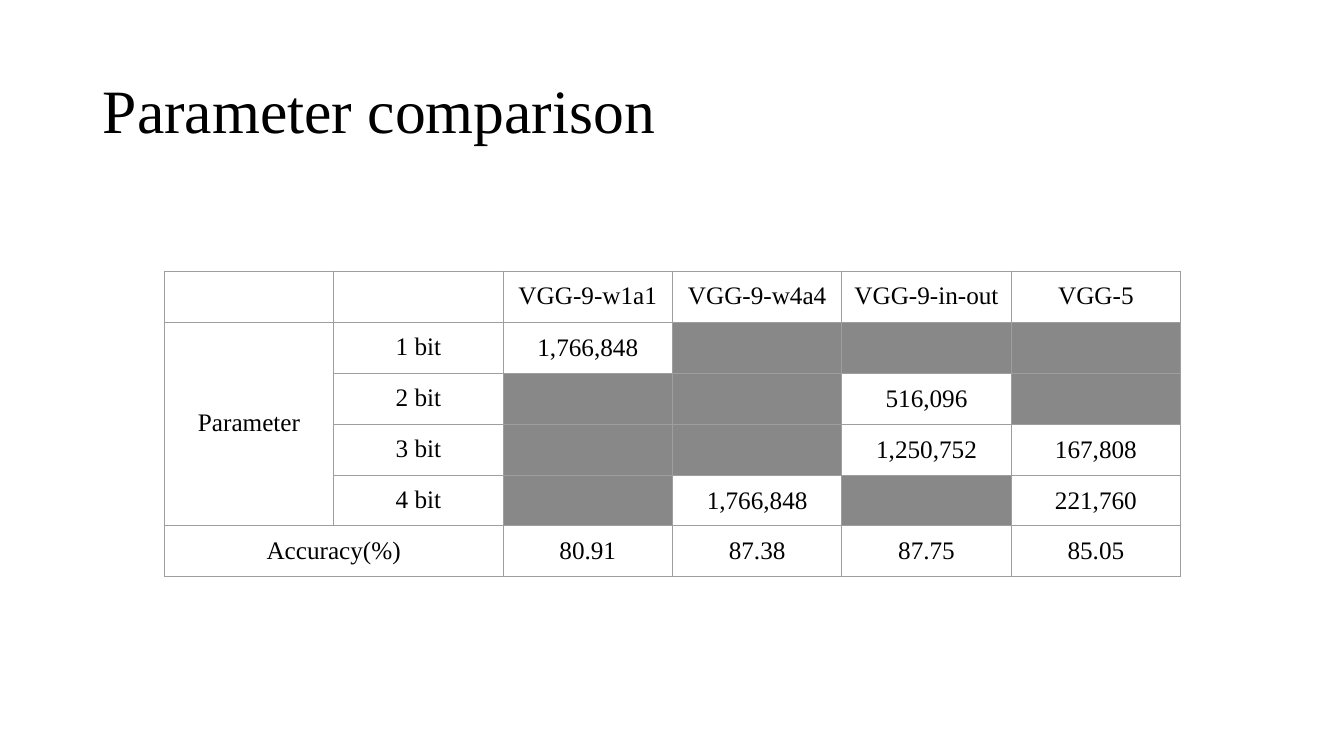
"""Build the parameter comparison slide."""
import pptx
import pptx.dml.color
import pptx.enum.text
import pptx.oxml
import pptx.oxml.ns
import pptx.util

Inches = pptx.util.Inches
Pt = pptx.util.Pt
RGBColor = pptx.dml.color.RGBColor
PP_ALIGN = pptx.enum.text.PP_ALIGN
MIDDLE = pptx.enum.text.MSO_ANCHOR.MIDDLE

BLACK = RGBColor(0x00, 0x00, 0x00)
GRAY = RGBColor(0x88, 0x88, 0x88)
BORDER = RGBColor(0x9E, 0x9E, 0x9E)
FONT = "Times New Roman"
MARGINS = {"margin_left": Inches(0.1), "margin_right": Inches(0.1),
           "margin_top": Inches(0.1), "margin_bottom": Inches(0.1)}
ROWS = [
    ["", "", "VGG-9-w1a1", "VGG-9-w4a4", "VGG-9-in-out", "VGG-5"],
    ["Parameter", "1 bit", "1,766,848", "", "", ""],
    ["", "2 bit", "", "", "516,096", ""],
    ["", "3 bit", "", "", "1,250,752", "167,808"],
    ["", "4 bit", "", "1,766,848", "", "221,760"],
    ["Accuracy(%)", "", "80.91", "87.38", "87.75", "85.05"],
]


def write(p, text, size, align, spacing):
    p.alignment = align
    p.line_spacing = spacing
    if text:
        r = p.add_run()
        r.text = text
        for name, value in {"name": FONT, "size": Pt(size), "bold": False}.items():
            setattr(r.font, name, value)
        r.font.color.rgb = BLACK


def add_borders(cell):
    tcPr = cell._tc.get_or_add_tcPr()
    for i, side in enumerate("LRTB"):
        tcPr.insert(i, pptx.oxml.parse_xml(
            f'<a:ln{side} {pptx.oxml.ns.nsdecls("a")} w="{Pt(0.75)}">'
            f'<a:solidFill><a:srgbClr val="{BORDER}"/></a:solidFill></a:ln{side}>'))


prs = pptx.Presentation()
prs.slide_width = Inches(13.33)
prs.slide_height = Inches(7.5)
s = prs.slides.add_slide(prs.slide_layouts[5])

title = s.shapes.title
for name, value in {"left": 0.92, "top": 0.4, "width": 11.5, "height": 1.45}.items():
    setattr(title, name, Inches(value))
tf = title.text_frame
tf.vertical_anchor = MIDDLE
write(tf.paragraphs[0], "Parameter comparison", 44, PP_ALIGN.LEFT, 0.9)

table = s.shapes.add_table(len(ROWS), len(ROWS[0]), Inches(1.63), Inches(2.69),
                           Inches(10.08), Inches(2.96)).table
table.first_row = False
table.horz_banding = False
for col in table.columns:
    col.width = Inches(1.68)
for i, row in enumerate(table.rows):
    row.height = Inches(0.5 if i else 0.46)

for i, values in enumerate(ROWS):
    for j, text in enumerate(values):
        cell = table.cell(i, j)
        for name, value in MARGINS.items():
            setattr(cell, name, value)
        cell.vertical_anchor = MIDDLE
        if i and j > 1 and not text:
            cell.fill.solid()
            cell.fill.fore_color.rgb = GRAY
        else:
            cell.fill.background()
        add_borders(cell)
        label = i == 0 or (j < 2 and i < 5)
        write(cell.text_frame.paragraphs[0], text, 18, PP_ALIGN.CENTER, 0.9 if label else 1.0)

table.cell(1, 0).merge(table.cell(4, 0))
table.cell(5, 0).merge(table.cell(5, 1))

prs.save("out.pptx")
